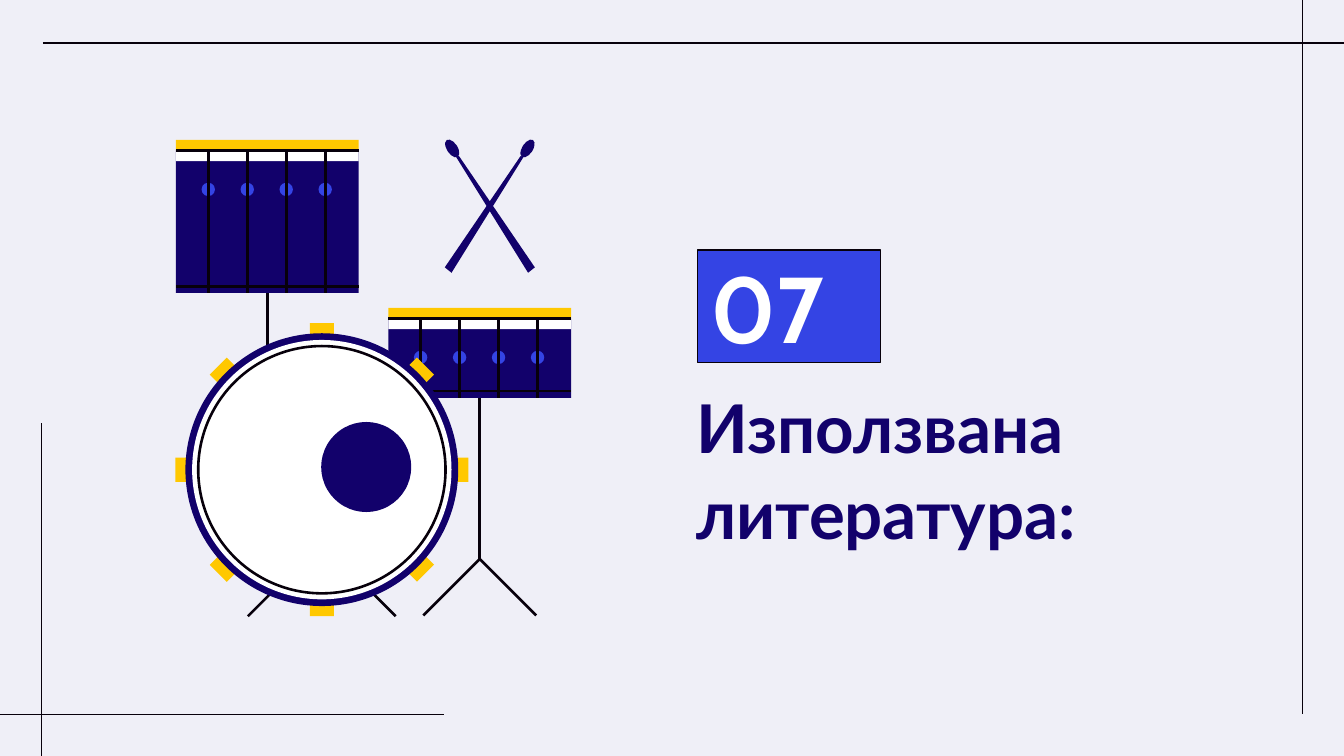
from dataclasses import dataclass
from math import cos, radians, sin

from lxml import etree
from pptx import Presentation
from pptx.dml.color import RGBColor
from pptx.enum import shapes, text
from pptx.oxml import ns
from pptx.util import Inches, Pt


@dataclass(frozen=True)
class Theme:
    paper: str = "EFEFF7"
    ink: str = "07000B"
    navy: str = "12016B"
    blue: str = "3444E4"
    gold: str = "FFC800"
    white: str = "FFFFFF"
    title_font: str = "Lato"
    number_font: str = "Cabin"
    title_size: int = 36
    number_size: int = 50
    hairline: float = 0.75
    stroke: float = 1.4


T = Theme()
RECT = shapes.MSO_SHAPE.RECTANGLE
OVAL = shapes.MSO_SHAPE.OVAL


def rgb(value):
    return RGBColor.from_string(value)


def paint(sp, fill=None, line=None, width=T.stroke):
    sp.shadow.inherit = False
    if fill:
        sp.fill.solid()
        sp.fill.fore_color.rgb = rgb(fill)
    else:
        sp.fill.background()
    if line:
        sp.line.color.rgb = rgb(line)
        sp.line.width = Pt(width)
    else:
        sp.line.fill.background()
    return sp


def add_shape(s, kind, x, y, w, h, fill=None, line=None, width=T.stroke):
    sp = s.shapes.add_shape(kind, Inches(x), Inches(y), Inches(w), Inches(h))
    return paint(sp, fill, line, width)


def add_disc(s, cx, cy, d, fill=None, line=None):
    return add_shape(s, OVAL, cx - d / 2, cy - d / 2, d, d, fill, line)


def add_line(s, x1, y1, x2, y2, width=T.stroke):
    line = s.shapes.add_connector(shapes.MSO_CONNECTOR.STRAIGHT,
                                  Inches(x1), Inches(y1), Inches(x2), Inches(y2))
    line.line.color.rgb = rgb(T.ink)
    line.line.width = Pt(width)
    etree.SubElement(line._element.spPr, ns.qn("a:effectLst"))


def add_path(s, points, fill=None, line=None):
    points = [(Inches(x), Inches(y)) for x, y in points]
    builder = s.shapes.build_freeform(*points[0])
    builder.add_line_segments(points[1:], close=bool(fill))
    return paint(builder.convert_to_shape(), fill, line)


def set_text(sp, content, font, size, color, anchor):
    tf = sp.text_frame
    tf.text = content
    tf.word_wrap = True
    tf.auto_size = text.MSO_AUTO_SIZE.NONE
    tf.vertical_anchor = anchor
    tf.margin_left = tf.margin_right = tf.margin_top = tf.margin_bottom = Inches(0.1)
    p = tf.paragraphs[0]
    p.alignment = text.PP_ALIGN.LEFT
    f = p.runs[0].font
    f.name, f.size, f.bold = font, Pt(size), True
    f.color.rgb = rgb(color)
    return p


def add_frame(s, x, y, w, h):
    left, top, right, bottom = x + 0.31, y + 0.32, x + w - 0.31, y + h - 0.31
    for ends in ((x + 3.3, bottom, x, bottom), (left, y + h, left, y + 3.15),
                 (left + 0.01, top, x + w, top), (right, y, right, bottom)):
        add_line(s, *ends, T.hairline)


def add_heading(s, x, y, w, h):
    title = s.shapes.title
    title.left, title.top = Inches(x), Inches(y + 0.87)
    title.width, title.height = Inches(w), Inches(h - 0.87)
    p = set_text(title, "Използвана литература:", T.title_font, T.title_size,
                 T.navy, text.MSO_ANCHOR.TOP)
    p.line_spacing = 1.07
    p.space_after = Pt(8)
    badge = add_shape(s, RECT, x + 0.11, y, 1.36, 0.84, T.blue, T.ink, T.hairline)
    set_text(badge, "07", T.number_font, T.number_size, T.white, text.MSO_ANCHOR.MIDDLE)


def add_legs(s, cx, top, reach):
    add_path(s, [(cx - reach, top + reach), (cx, top), (cx + reach, top + reach)],
             line=T.ink)


def add_drum(s, x, y, w, h, stand_top):
    cx, rim = x + w / 2, 0.08
    add_line(s, cx, y + h / 2, cx, stand_top)
    add_legs(s, cx, stand_top, 0.42)
    add_shape(s, RECT, x, y + rim, w, h - rim, T.navy)
    add_shape(s, RECT, x, y + rim, w, rim, T.white)
    for i in range(4):
        rod = x + 0.24 + 0.29 * i
        add_disc(s, rod, y + 0.37, 0.1, T.blue)
        add_line(s, rod, y + rim, rod, y + h)
    add_shape(s, RECT, x, y, w, rim, T.gold)
    for level in (y + rim, y + h - 0.05):
        add_line(s, x, level, x + w, level)


def add_bass_drum(s, x, y, size):
    cx, cy = x + size / 2, y + size / 2
    lug_w, lug_h, orbit = 0.18, 0.09, size / 2 - 0.04
    for angle in range(0, 360, 45):
        lug_x = cx + orbit * sin(radians(angle))
        lug_y = cy - orbit * cos(radians(angle))
        lug = add_shape(s, RECT, lug_x - lug_w / 2, lug_y - lug_h / 2,
                        lug_w, lug_h, T.gold)
        lug.rotation = angle
    add_legs(s, cx, cy + 0.54, 0.55)
    add_disc(s, cx, cy, 2.03, T.navy)
    add_disc(s, cx, cy, 1.93, T.white)
    add_disc(s, cx + 0.33, cy - 0.02, 0.67, T.navy)
    add_disc(s, cx, cy, 1.84, line=T.ink)


def add_sticks(s, x, y, w, h):
    cx = x + w / 2
    shaft = ((-w / 2, h - 0.04), (-w / 2 + 0.05, h), (0.25, 0.13), (0.23, 0.12))
    for side in (1, -1):
        add_path(s, [(cx + side * dx, y + dy) for dx, dy in shaft], T.navy)
        tip = add_shape(s, OVAL, cx + side * 0.28 - 0.04, y - 0.01, 0.08, 0.15, T.navy)
        tip.rotation = side * 33


def add_drum_kit(s, x, y):
    add_drum(s, x + 1.58, y + 1.25, 1.36, 0.67, y + 3.12)
    add_drum(s, x, y, 1.36, 1.14, y + 2.34)
    add_bass_drum(s, x, y + 1.37, 2.17)
    add_sticks(s, x + 2, y, 0.67, 0.99)


def main():
    prs = Presentation()
    width, height = 10, 10 * 9 / 16
    prs.slide_width, prs.slide_height = Inches(width), Inches(height)
    s = prs.slides.add_slide(prs.slide_layouts[5])
    s.background.fill.solid()
    s.background.fill.fore_color.rgb = rgb(T.paper)
    add_frame(s, 0, 0, width, height)
    add_heading(s, 5.08, 1.86, 3.62, 1.91)
    add_drum_kit(s, 1.31, 1.04)
    prs.save("out.pptx")


if __name__ == "__main__":
    main()
